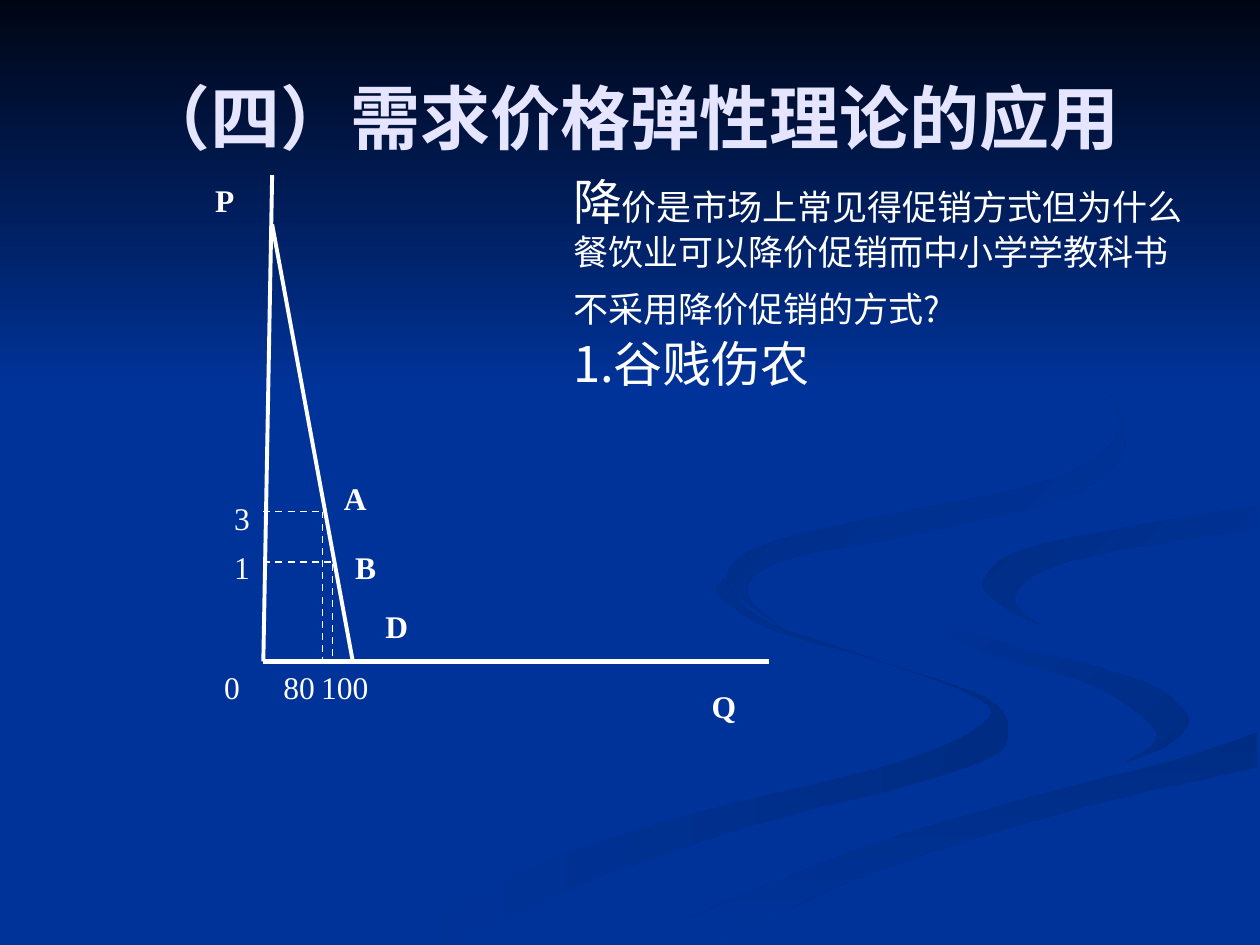
from dataclasses import dataclass

from lxml.etree import SubElement
from pptx import Presentation
from pptx.dml.color import RGBColor
from pptx.enum.dml import MSO_LINE
from pptx.enum.shapes import MSO_CONNECTOR, MSO_SHAPE
from pptx.enum.text import MSO_ANCHOR, MSO_AUTO_SIZE, PP_ALIGN
from pptx.oxml.ns import qn
from pptx.util import Inches, Pt


@dataclass(frozen=True)
class Theme:
    background: str = "003399"
    night: str = "000514"
    ribbon: str = "002C84"
    title: str = "E5E5FF"
    text: str = "FFFFFF"
    latin_font: str = "Times New Roman"
    chinese_font: str = "Noto Sans CJK SC"
    title_size: int = 40
    large_size: int = 28
    body_size: int = 20
    label_size: int = 18


theme = Theme()


def fill_gradient(shape, start, end, clockwise_angle):
    shape.shadow.inherit = False
    shape.line.fill.background()
    shape.fill.gradient()
    shape.fill.gradient_angle = (360 - clockwise_angle) % 360
    for stop, color in zip(shape.fill.gradient_stops, (start, end)):
        stop.color.rgb = RGBColor.from_string(color)


def format_run(run, size, color, font_name, bold=False):
    run.font.size = Pt(size)
    run.font.bold = bold
    run.font.color.rgb = RGBColor.from_string(color)
    run.font.name = font_name
    SubElement(run.font._element, qn("a:ea")).set("typeface", theme.chinese_font)


presentation = Presentation()
presentation.slide_width = Inches(10)
presentation.slide_height = Inches(7.5)
slide = presentation.slides.add_slide(presentation.slide_layouts[5])
slide.background.fill.solid()
slide.background.fill.fore_color.rgb = RGBColor.from_string(theme.background)

# Each ribbon is two smooth edges through key points, in hundredths of an inch
ribbons = [
    (theme.background, theme.ribbon, 0,
     [(575, 459), (570, 472), (611, 499), (679, 519), (762, 547), (785, 570), (714, 605), (539, 649),
      (417, 690), (300, 749)],
     [(361, 749), (466, 700), (594, 656), (721, 623), (786, 601), (800, 581), (781, 553), (682, 519),
      (602, 490), (575, 459)]),
    (theme.background, theme.ribbon, 45,
     [(724, 464), (733, 488), (781, 518), (868, 544), (918, 581), (894, 605)],
     [(925, 593), (943, 570), (905, 540), (792, 509), (733, 483), (724, 464)]),
    (theme.ribbon, theme.background, 90,
     [(503, 749), (569, 719), (696, 669), (831, 629), (936, 602), (998, 581)],
     [(998, 609), (861, 640), (722, 682), (614, 726), (571, 749)]),
    (theme.ribbon, theme.background, 45,
     [(998, 402), (898, 418), (810, 437), (781, 460), (791, 478), (826, 496)],
     [(826, 496), (805, 476), (828, 453), (896, 435), (998, 420)]),
    (theme.ribbon, theme.background, 45,
     [(762, 233), (846, 279), (889, 335), (842, 378), (704, 409), (605, 433), (577, 462), (622, 500)],
     [(622, 500), (593, 470), (624, 444), (739, 421), (855, 391), (894, 344), (843, 275), (762, 233)]),
]
steps = 5
for start_color, end_color, angle, *edges in ribbons:
    outline = []
    for edge in edges:
        guides = [edge[0], *edge, edge[-1]]
        for before, start, end, after in zip(guides, guides[1:], guides[2:], guides[3:]):
            for step in range(steps):
                t = step / steps
                outline.append([
                    b + (c - a) * t / 2 + (a - 2.5 * b + 2 * c - d / 2) * t**2
                    + (3 * (b - c) + d - a) * t**3 / 2
                    for a, b, c, d in zip(before, start, end, after)])
        outline.append(edge[-1])
    builder = slide.shapes.build_freeform(*outline[0], scale=Inches(0.01))
    builder.add_line_segments(outline[1:], close=True)
    fill_gradient(builder.convert_to_shape(), start_color, end_color, angle)

sky = slide.shapes.add_shape(MSO_SHAPE.RECTANGLE, 0, 0, Inches(10), Inches(3.08))
fill_gradient(sky, theme.night, theme.background, 90)

title = slide.shapes.title
title.element.getparent().append(title.element)
title.left, title.top = Inches(0.5), Inches(0.3)
title.width, title.height = Inches(9), Inches(1.25)
title.text_frame.text = "（四）需求价格弹性理论的应用"
title.text_frame.vertical_anchor = MSO_ANCHOR.MIDDLE
title.text_frame.paragraphs[0].alignment = PP_ALIGN.CENTER
format_run(title.text_frame.paragraphs[0].runs[0], theme.title_size, theme.title, theme.latin_font, True)

origin_x, axis_y = 2.09, 5.25
axis_top_x = 2.16
lines = [
    (axis_top_x, 1.39, origin_x, axis_y, 2.25, None),
    (origin_x, axis_y, 6.1, axis_y, 3, None),
    (axis_top_x, 1.78, 2.8, axis_y, 2.25, None),
    (origin_x, 4.06, 2.56, 4.06, 1, MSO_LINE.DASH),
    (2.56, 4.06, 2.56, axis_y, 1, MSO_LINE.DASH),
    (origin_x, 4.46, 2.64, 4.46, 1, MSO_LINE.DASH),
    (2.64, 4.38, 2.64, axis_y, 1, MSO_LINE.DASH),
]
for start_x, start_y, end_x, end_y, width, dash in lines:
    connector = slide.shapes.add_connector(
        MSO_CONNECTOR.STRAIGHT, Inches(start_x), Inches(start_y), Inches(end_x), Inches(end_y))
    connector.line.color.rgb = RGBColor.from_string(theme.text)
    connector.line.width = Pt(width)
    if dash:
        connector.line.dash_style = dash
    SubElement(connector.element.spPr, qn("a:effectLst"))

labels = [
    ("Q", 5.55, 5.4, 0.39),
    ("P", 1.61, 1.39, 0.36),
    ("D", 2.96, 4.77, 0.39),
    ("A", 2.63, 3.75, 0.39),
    ("B", 2.72, 4.3, 0.37),
    ("3", 1.76, 3.91, 0.34),
    ("1", 1.76, 4.3, 0.34),
    ("80", 2.15, axis_y, 0.48),
    ("100", 2.45, axis_y, 0.62),
    ("0", 1.68, axis_y, 0.34),
]
for text, left, top, width in labels:
    label = slide.shapes.add_textbox(Inches(left), Inches(top), Inches(width), Inches(0.4))
    label.text_frame.word_wrap = False
    label.text_frame.auto_size = MSO_AUTO_SIZE.SHAPE_TO_FIT_TEXT
    label.text_frame.text = text
    run = label.text_frame.paragraphs[0].runs[0]
    format_run(run, theme.label_size, theme.text, theme.latin_font, text.isalpha())

question_box = slide.shapes.add_textbox(Inches(4.45), Inches(1.31), Inches(5.2), Inches(1.84))
question_frame = question_box.text_frame
question_frame.word_wrap = True
question_frame.auto_size = MSO_AUTO_SIZE.SHAPE_TO_FIT_TEXT
question_lines = [
    [("降", theme.large_size), ("价是市场上常见得促销方式但为什么", theme.body_size)],
    [("餐饮业可以降价促销而中小学学教科书", theme.body_size)],
    [("不采用降价促销的方式?", theme.body_size)],
    [("1.谷贱伤农", theme.large_size)],
]
for index, pieces in enumerate(question_lines):
    paragraph = question_frame.add_paragraph() if index else question_frame.paragraphs[0]
    for text, size in pieces:
        run = paragraph.add_run()
        run.text = text
        format_run(run, size, theme.text, theme.chinese_font)
question_frame.paragraphs[2].space_before = Pt(9)
question_frame.paragraphs[2].space_after = Pt(2)

presentation.save("out.pptx")
